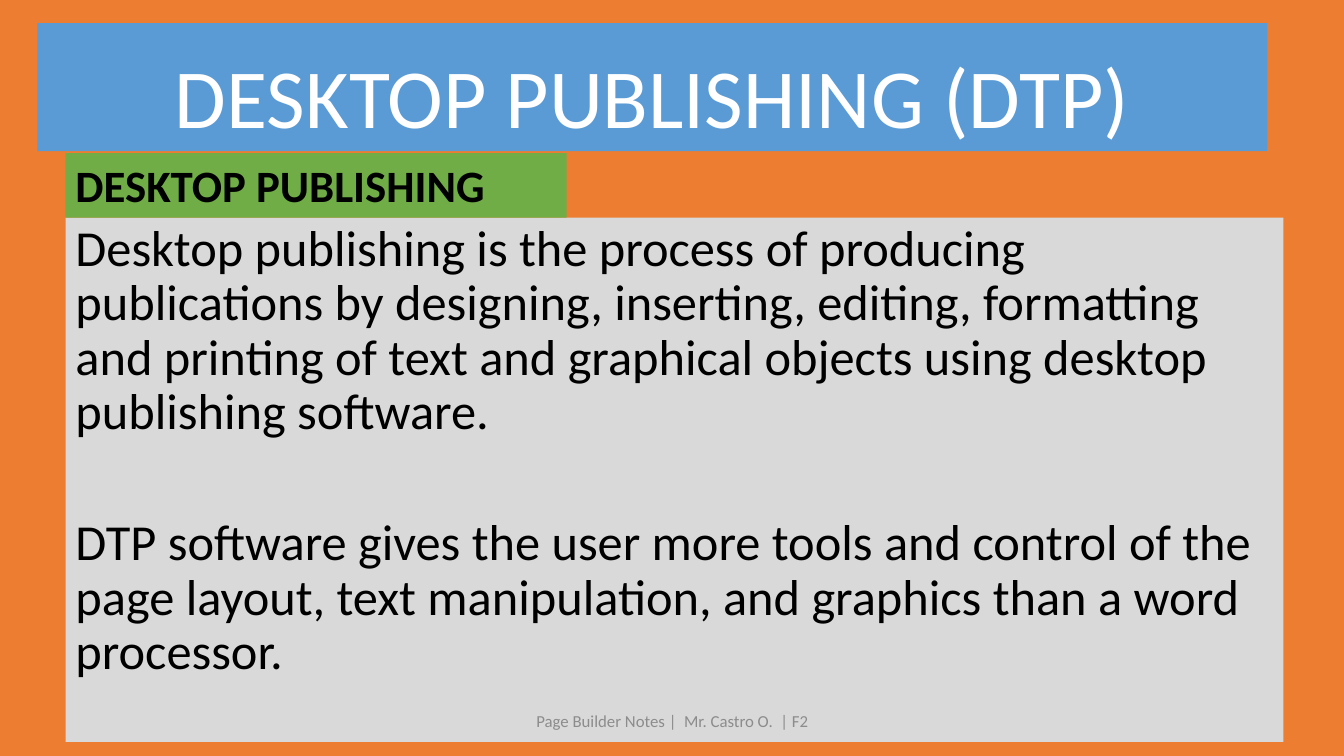
"""Builds the desktop publishing definition slide."""
import dataclasses

import pptx
import pptx.dml.color
import pptx.enum.shapes
import pptx.enum.text
import pptx.slide
import pptx.util

Inches = pptx.util.Inches
Align = pptx.enum.text.PP_ALIGN
Anchor = pptx.enum.text.MSO_ANCHOR
AutoSize = pptx.enum.text.MSO_AUTO_SIZE


@dataclasses.dataclass(frozen=True)
class Theme:
    """Colours, type sizes and font of the slide."""
    font: str = "Calibri"
    background: str = "ED7D31"
    title_fill: str = "5B9BD5"
    heading_fill: str = "70AD47"
    body_fill: str = "D9D9D9"
    light_text: str = "FFFFFF"
    dark_text: str = "000000"
    footer_text: str = "8C8C8C"
    title_size: int = 60
    body_size: int = 36
    heading_size: int = 32
    footer_size: int = 12


THEME = Theme()


@dataclasses.dataclass(frozen=True)
class Panel:
    """A block of text with an optional fill."""
    left: float
    top: float
    width: float
    height: float
    paragraphs: tuple[str, ...]
    size: int
    color: str
    fill: str | None = None
    bold: bool = False
    alignment: Align = Align.LEFT
    anchor: Anchor = Anchor.TOP
    line_spacing: float = 1.0
    space_before: tuple[int, ...] = (0,)
    auto_size: AutoSize = AutoSize.NONE


PANELS = (
    Panel(0.37, 0.23, 12.2, 1.27, ("DESKTOP PUBLISHING (DTP)",),
          THEME.title_size, THEME.light_text, THEME.title_fill,
          alignment=Align.CENTER, anchor=Anchor.BOTTOM, line_spacing=0.9),
    Panel(0.65, 2.16, 12.08, 5.2,
          ("Desktop publishing is the process of producing publications by "
           "designing, inserting, editing, formatting and printing of text and "
           "graphical objects using desktop publishing software.",
           "DTP software gives the user more tools and control of the page "
           "layout, text manipulation, and graphics than a word processor."),
          THEME.body_size, THEME.dark_text, THEME.body_fill,
          line_spacing=0.9, space_before=(10, 55)),
    Panel(0.65, 1.52, 4.97, 0.64, ("DESKTOP PUBLISHING",),
          THEME.heading_size, THEME.dark_text, THEME.heading_fill, bold=True,
          auto_size=AutoSize.SHAPE_TO_FIT_TEXT),
    Panel(4.42, 6.95, 4.5, 0.4, ("Page Builder Notes |  Mr. Castro O.  | F2",),
          THEME.footer_size, THEME.footer_text,
          alignment=Align.CENTER, anchor=Anchor.MIDDLE),
)


def rgb(value: str) -> pptx.dml.color.RGBColor:
    """Return the colour for a hexadecimal value."""
    return pptx.dml.color.RGBColor.from_string(value)


def draw_panel(slide: pptx.slide.Slide, panel: Panel) -> None:
    """Draw one panel and format its text."""
    box = [Inches(length) for length in
           (panel.left, panel.top, panel.width, panel.height)]
    if panel.fill is None:
        shape = slide.shapes.add_textbox(*box)
    else:
        shape = slide.shapes.add_shape(
            pptx.enum.shapes.MSO_SHAPE.RECTANGLE, *box)
        shape.shadow.inherit = False
        shape.fill.solid()
        shape.fill.fore_color.rgb = rgb(panel.fill)
        shape.line.fill.background()
    text_frame = shape.text_frame
    text_frame.text = "\n".join(panel.paragraphs)
    text_frame.word_wrap = True
    text_frame.auto_size = panel.auto_size
    text_frame.vertical_anchor = panel.anchor
    for paragraph, space in zip(text_frame.paragraphs, panel.space_before):
        paragraph.alignment = panel.alignment
        paragraph.line_spacing = panel.line_spacing
        paragraph.space_before = pptx.util.Pt(space)
        for run in paragraph.runs:
            run.font.name = THEME.font
            run.font.size = pptx.util.Pt(panel.size)
            run.font.bold = panel.bold
            run.font.color.rgb = rgb(panel.color)


def main() -> None:
    """Create the presentation and save it."""
    presentation = pptx.Presentation()
    presentation.slide_width = Inches(13.33)
    presentation.slide_height = Inches(7.5)
    slide = presentation.slides.add_slide(presentation.slide_layouts[6])
    slide.background.fill.solid()
    slide.background.fill.fore_color.rgb = rgb(THEME.background)
    for panel in PANELS:
        draw_panel(slide, panel)
    presentation.save("out.pptx")


if __name__ == "__main__":
    main()
